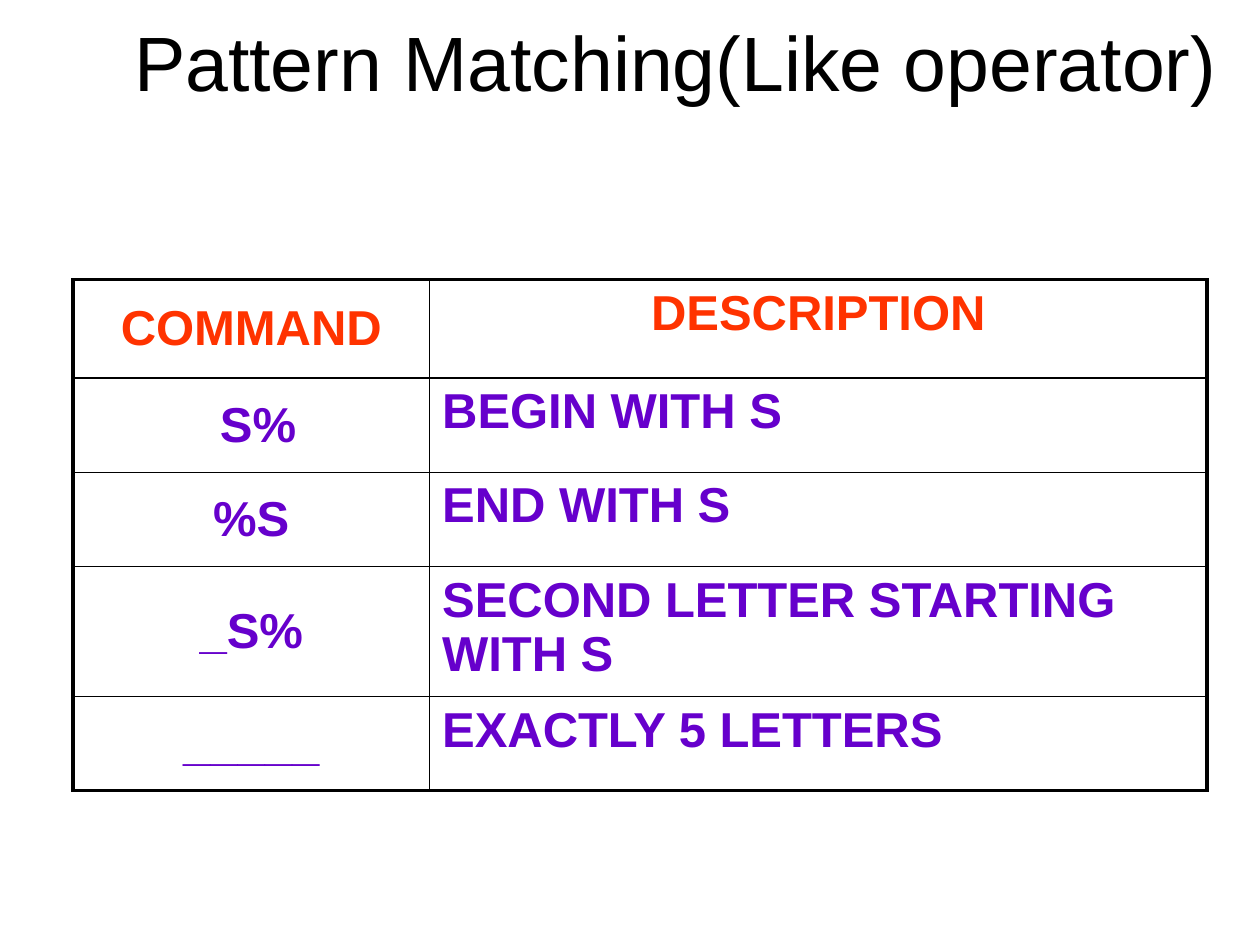
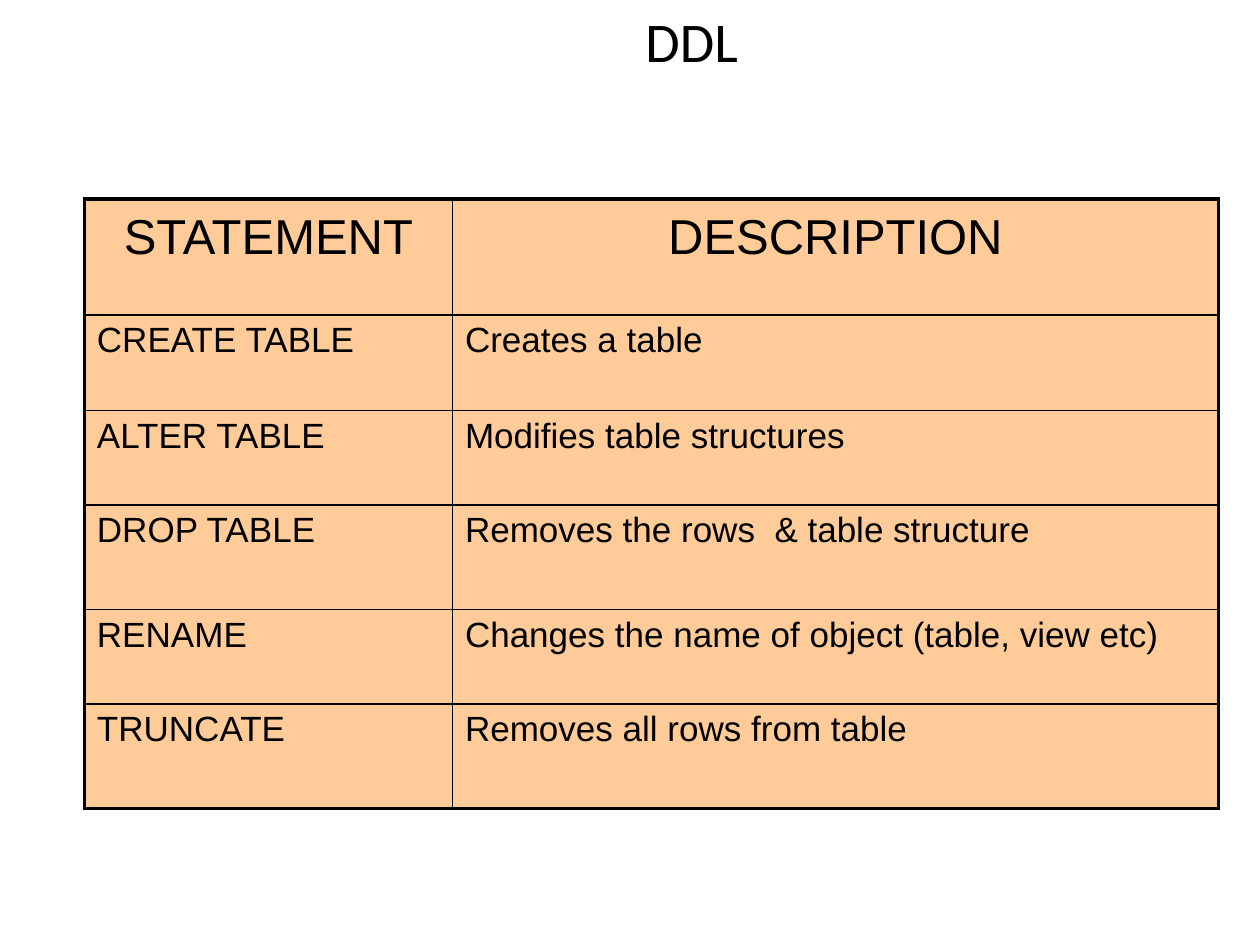
from dataclasses import dataclass

from lxml import etree
from pptx import Presentation
from pptx.dml.color import RGBColor
from pptx.enum.shapes import MSO_SHAPE
from pptx.enum.text import MSO_ANCHOR, PP_ALIGN
from pptx.oxml.ns import qn
from pptx.util import Cm, Pt

RECTANGLE = MSO_SHAPE.RECTANGLE
LEFT, CENTER = PP_ALIGN.LEFT, PP_ALIGN.CENTER
TOP, MIDDLE = MSO_ANCHOR.TOP, MSO_ANCHOR.MIDDLE
BLANK_LAYOUT = 6


@dataclass(frozen=True)
class Theme:
    black: str = "000000"
    white: str = "FFFFFF"
    orange: str = "FF3300"
    purple: str = "6600CC"
    peach: str = "FFCC99"
    font: str = "Arial"
    heading_font: str = "Calibri"
    large_title: int = 44
    small_title: int = 32
    large_text: int = 28
    body_text: int = 20
    outer_line: float = 2.25
    inner_line: float = 1


THEME = Theme()


@dataclass(frozen=True)
class TextStyle:
    size: int
    color: str = THEME.black
    font: str = THEME.font
    bold: bool = False
    align: int = LEFT
    anchor: int = TOP
    line_spacing: float = 1.0


def write(frame, text, style):
    """Put one styled paragraph into a text frame."""
    frame.text = text
    paragraph = frame.paragraphs[0]
    paragraph.alignment = style.align
    paragraph.line_spacing = style.line_spacing
    for run in paragraph.runs:
        run.font.size = Pt(style.size)
        run.font.name = style.font
        run.font.bold = style.bold
        run.font.color.rgb = RGBColor.from_string(style.color)


def add_title(slide, box, text, style, top_inset=0.13, right_inset=0.25):
    """White title band at the top of a slide."""
    band = slide.shapes.add_shape(RECTANGLE, *map(Cm, box))
    band.shadow.inherit = False
    band.fill.solid()
    band.fill.fore_color.rgb = RGBColor.from_string(THEME.white)
    band.line.fill.background()
    frame = band.text_frame
    frame.word_wrap = True
    frame.vertical_anchor = TOP
    frame.margin_top, frame.margin_right = Cm(top_inset), Cm(right_inset)
    write(frame, text, style)


def set_borders(cell, outer_sides):
    """Draw all four borders, heavier on the outer edge of the table."""
    properties = cell._tc.get_or_add_tcPr()
    for side in "LRTB":
        width = THEME.outer_line if side in outer_sides else THEME.inner_line
        line = etree.SubElement(properties, qn(f"a:ln{side}"), w=str(Pt(width)))
        fill = etree.SubElement(line, qn("a:solidFill"))
        etree.SubElement(fill, qn("a:srgbClr"), val=THEME.black)


def add_grid(slide, origin, widths, heights, rows, header_styles, body_styles, fill=None):
    """Bordered table whose first row holds the column headings."""
    left, top = origin
    box = map(Cm, (left, top, sum(widths), sum(heights)))
    table = slide.shapes.add_table(len(rows), len(widths), *box).table
    table.first_row = table.horz_banding = False
    for column, width in zip(table.columns, widths):
        column.width = Cm(width)
    for row, height in zip(table.rows, heights):
        row.height = Cm(height)

    last_row, last_column = len(rows) - 1, len(widths) - 1
    for r, texts in enumerate(rows):
        styles = body_styles if r else header_styles
        for c, (text, style) in enumerate(zip(texts, styles)):
            cell = table.cell(r, c)
            edges = {"L": c == 0, "R": c == last_column, "T": r == 0, "B": r == last_row}
            set_borders(cell, [side for side, outer in edges.items() if outer])
            if fill:
                cell.fill.solid()
                cell.fill.fore_color.rgb = RGBColor.from_string(fill)
            else:
                cell.fill.background()
            cell.vertical_anchor = style.anchor
            write(cell.text_frame, text, style)


def build_pattern_matching(slide):
    add_title(slide, (2.11, 0, 23.29, 2.9), "Pattern Matching(Like operator)",
              TextStyle(THEME.large_title, align=CENTER),
              top_inset=0.3, right_inset=0.5)

    patterns = [
        ("COMMAND", "DESCRIPTION"),
        (" S%", "BEGIN WITH S"),
        ("%S", "END WITH S"),
        ("_S%", "SECOND LETTER STARTING WITH S"),
        ("_____", "EXACTLY 5 LETTERS"),
    ]
    size = THEME.large_text
    add_grid(
        slide, (1.47, 5.64), (7.19, 15.67), (1.98, 1.9, 1.9, 2.62, 1.9), patterns,
        header_styles=(
            TextStyle(size, THEME.orange, bold=True, align=CENTER, anchor=MIDDLE),
            TextStyle(size, THEME.orange, bold=True, align=CENTER),
        ),
        body_styles=(
            TextStyle(size, THEME.purple, bold=True, align=CENTER, anchor=MIDDLE),
            TextStyle(size, THEME.purple, bold=True),
        ),
    )


def build_ddl(slide):
    add_title(slide, (2.49, 0, 22.91, 2.11), "DDL",
              TextStyle(THEME.small_title, font=THEME.heading_font, align=CENTER))

    statements = [
        ("STATEMENT", "DESCRIPTION"),
        ("CREATE TABLE", "Creates a table"),
        ("ALTER TABLE", "Modifies table structures"),
        ("DROP TABLE", "Removes the rows  & table structure"),
        ("RENAME", "Changes the name of object (table, view etc)"),
        ("TRUNCATE", "Removes all rows from table"),
    ]
    header = TextStyle(THEME.large_text, align=CENTER, line_spacing=1.1)
    body = TextStyle(THEME.body_text)
    add_grid(
        slide, (1.7, 4.01), (7.42, 15.44), (2.34, 1.93, 1.9, 2.11, 1.9, 2.11), statements,
        header_styles=(header, header), body_styles=(body, body), fill=THEME.peach,
    )


def main():
    deck = Presentation()
    deck.slide_width, deck.slide_height = Cm(25.4), Cm(19.05)
    for build in (build_pattern_matching, build_ddl):
        build(deck.slides.add_slide(deck.slide_layouts[BLANK_LAYOUT]))
    deck.save("out.pptx")


if __name__ == "__main__":
    main()
